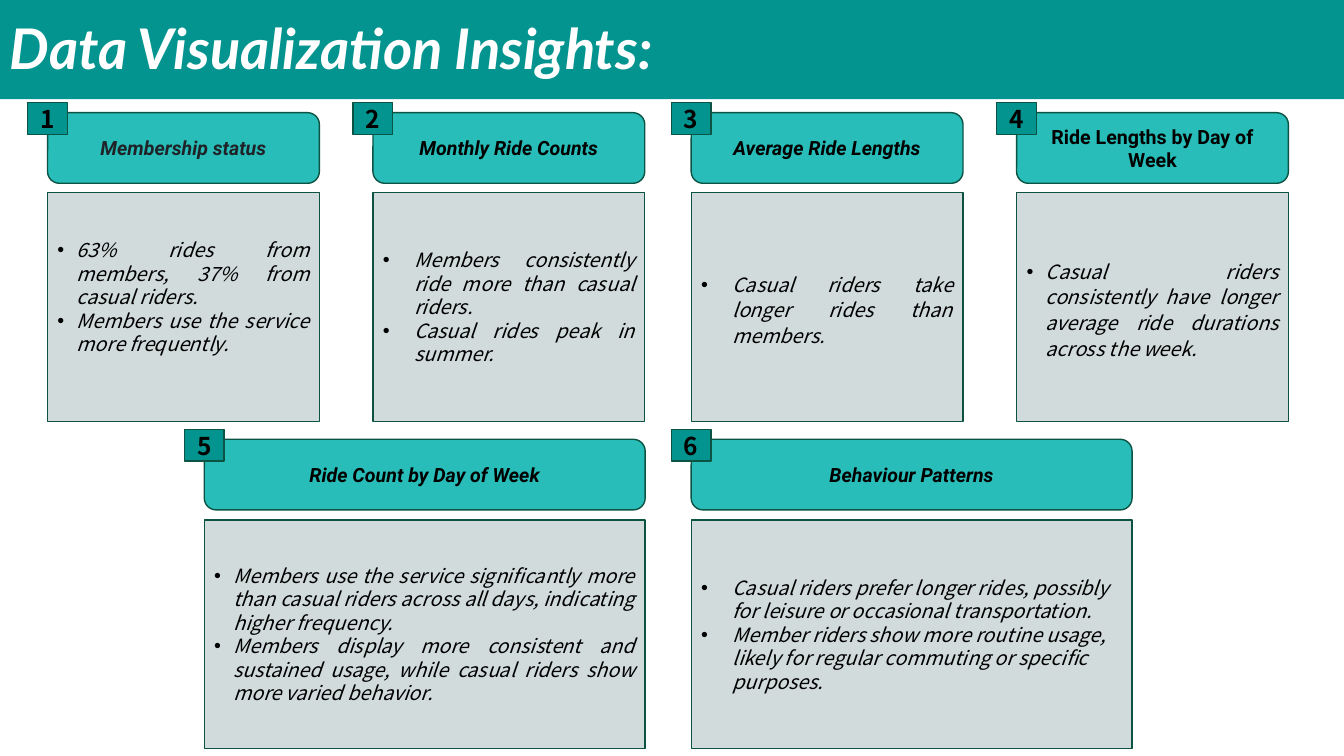
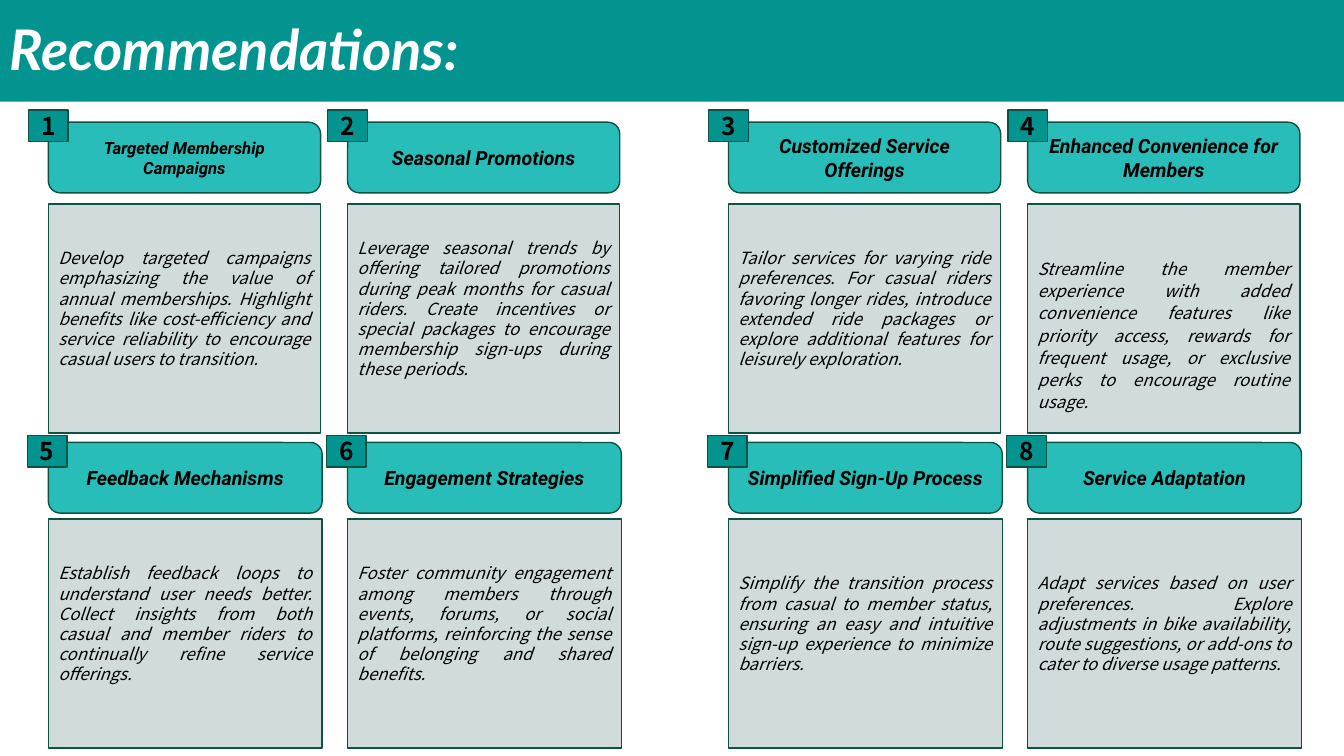
import pptx
import pptx.dml.color
import pptx.enum.shapes
import pptx.enum.text
import pptx.oxml
import pptx.oxml.ns
import pptx.util
from pptx.util import Cm

COLORS = {
    "band": "03948F", "header": "28BDB8", "body": "D1DBDB",
    "outline": "0D5344", "text": "000000", "soft": "1F2328", "white": "FFFFFF",
}
HEADING_FONT, BODY_FONT, TITLE_FONT = "Roboto", "Noto Sans CJK KR", "Lato"
ALIGN = pptx.enum.text.PP_ALIGN
SHAPES = pptx.enum.shapes.MSO_SHAPE

# Card measures in centimetres
HEADER_HEIGHT, BODY_HEIGHT = 1.78, 5.77
BADGE_WIDTH, BADGE_HEIGHT = 1.0, 0.8
INSET_Y = 0.13


def color(name):
    return pptx.dml.color.RGBColor.from_string(COLORS[name])


def write(frame, lines, font=BODY_FONT, size=14, ink="text", bold=False, italic=True,
          align=ALIGN.CENTER, spacing=None, indent=0, after=0, drop=0, lift=0):
    """Fill a text frame; drop and lift push the centred text down or up."""
    frame.word_wrap = True
    frame.auto_size = pptx.enum.text.MSO_AUTO_SIZE.NONE
    frame.vertical_anchor = pptx.enum.text.MSO_ANCHOR.MIDDLE
    frame.margin_left = frame.margin_right = Cm(0.25)
    frame.margin_top, frame.margin_bottom = Cm(INSET_Y + drop), Cm(INSET_Y + lift)
    for number, line in enumerate(lines):
        para = frame.add_paragraph() if number else frame.paragraphs[0]
        para.alignment = align
        para.space_before, para.space_after = pptx.util.Pt(0), pptx.util.Pt(after)
        if spacing:
            para.line_spacing = spacing
        if indent:
            add_bullet(para, indent)
        span = para.add_run()
        span.text = line
        span.font.name, span.font.size = font, pptx.util.Pt(size)
        span.font.bold, span.font.italic = bold, italic
        span.font.color.rgb = color(ink)


def add_bullet(para, indent):
    settings = para._p.get_or_add_pPr()
    settings.set("marL", str(Cm(indent)))
    settings.set("indent", str(-Cm(indent)))
    for tag, key, value in (("a:buFont", "typeface", "Arial"), ("a:buChar", "char", "•")):
        bullet = pptx.oxml.ns.qn(tag)
        settings.append(settings.makeelement(bullet, {key: value}))


def add_box(page, preset, left, top, width, height, fill):
    box = page.shapes.add_shape(preset, Cm(left), Cm(top), Cm(width), Cm(height))
    box.shadow.inherit = False
    box.fill.solid()
    box.fill.fore_color.rgb = color(fill)
    box.line.color.rgb = color("outline")
    box.line.width = pptx.util.Pt(1)
    return box


def add_page(deck, title, band_height):
    """Title-only page with the full-width title band."""
    page = deck.slides.add_slide(deck.slide_layouts[5])
    band = page.shapes.title
    band.left, band.top = Cm(0), Cm(0)
    band.width, band.height = deck.slide_width, Cm(band_height)
    band.fill.solid()
    band.fill.fore_color.rgb = color("band")
    write(band.text_frame, [title], font=TITLE_FONT, size=40, ink="white", bold=True,
          align=ALIGN.LEFT, lift=0.12)
    return page


def add_card(page, number, left, top, width, heading, lines, row, heading_format, body_format):
    """Heading, body and number badge, placed from the card's top left corner."""
    header = add_box(page, SHAPES.ROUNDED_RECTANGLE, left, top, width, HEADER_HEIGHT, "header")
    write(header.text_frame, [heading],
          **{"font": HEADING_FONT, "bold": True, "after": 6, **heading_format})

    body = add_box(page, SHAPES.RECTANGLE, left, top + row["body_drop"], width, BODY_HEIGHT, "body")
    write(body.text_frame, lines, **{"align": ALIGN.JUSTIFY, **body_format})

    badge = add_box(page, SHAPES.RECTANGLE, left - row["badge_left"], top - row["badge_rise"],
                    BADGE_WIDTH, BADGE_HEIGHT, "band")
    write(badge.text_frame, [str(number)], size=17.5, bold=True, italic=False, after=6)


def add_rows(page, rows):
    """Lay out rows of cards, numbered in reading order."""
    number = 0
    for row in rows:
        for left, (heading, lines, heading_format, body_format) in zip(row["lefts"], row["cards"]):
            number += 1
            add_card(page, number, left, row["top"], row["width"], heading, lines, row,
                     heading_format, {**row["body_format"], **body_format})


# Cards: heading, body lines, heading format, body format
INSIGHT_ROWS = [
    {"top": 2.84, "width": 6.85, "lefts": [1.2, 9.4, 17.42, 25.62],
     "body_drop": 2.01, "badge_left": 0.5, "badge_rise": 0.25, "body_format": {},
     "cards": [
         ("Membership status",
          ["63% rides from members, 37% from casual riders.",
           "Members use the service more frequently."],
          {"ink": "soft"}, {"indent": 0.48, "lift": 0.5}),
         ("Monthly Ride Counts",
          ["Members consistently ride more than casual riders.",
           "Casual rides peak in summer."],
          {}, {"indent": 0.79}),
         ("Average Ride Lengths",
          ["Casual riders take longer rides than members."],
          {}, {"indent": 0.79, "spacing": 1.1, "drop": 0.1}),
         ("Ride Lengths by Day of Week",
          ["Casual riders consistently have longer average ride durations across the week."],
          {"italic": False}, {"indent": 0.48, "spacing": 1.1, "drop": 0.1}),
     ]},
    {"top": 11.07, "width": 11.11, "lefts": [5.15, 17.42],
     "body_drop": 2.03, "badge_left": 0.5, "badge_rise": 0.25, "body_format": {},
     "cards": [
         ("Ride Count by Day of Week",
          ["Members use the service significantly more than casual riders across all days, "
           "indicating higher frequency.",
           "Members display more consistent and sustained usage, while casual riders show "
           "more varied behavior."],
          {}, {"indent": 0.48}),
         ("Behaviour Patterns",
          ["Casual riders prefer longer rides, possibly for leisure or occasional "
           "transportation.",
           "Member riders show more routine usage, likely for regular commuting or specific "
           "purposes."],
          {}, {"indent": 0.79, "align": ALIGN.LEFT}),
     ]},
]

ADVICE_LEFTS = [1.22, 8.76, 18.36, 25.9]
ADVICE_FORMAT = {"size": 12, "lift": 0.5}
ADVICE_ROWS = [
    {"top": 3.08, "width": 6.86, "lefts": ADVICE_LEFTS,
     "body_drop": 2.06, "badge_left": 0.5, "badge_rise": 0.31, "body_format": ADVICE_FORMAT,
     "cards": [
         ("Targeted Membership Campaigns",
          ["Develop targeted campaigns emphasizing the value of annual memberships. Highlight "
           "benefits like cost-efficiency and service reliability to encourage casual users "
           "to transition."],
          {"size": 12}, {}),
         ("Seasonal Promotions",
          ["Leverage seasonal trends by offering tailored promotions during peak months for "
           "casual riders. Create incentives or special packages to encourage membership "
           "sign-ups during these periods."],
          {}, {}),
         ("Customized Service Offerings",
          ["Tailor services for varying ride preferences. For casual riders favoring longer "
           "rides, introduce extended ride packages or explore additional features for "
           "leisurely exploration."],
          {}, {}),
         ("Enhanced Convenience for Members",
          ["Streamline the member experience with added convenience features like priority "
           "access, rewards for frequent usage, or exclusive perks to encourage routine "
           "usage."],
          {}, {"spacing": 1.1, "drop": 0.8, "lift": 0}),
     ]},
    {"top": 11.15, "width": 6.9, "lefts": ADVICE_LEFTS,
     "body_drop": 1.93, "badge_left": 0.53, "badge_rise": 0.18, "body_format": ADVICE_FORMAT,
     "cards": [
         ("Feedback Mechanisms",
          ["Establish feedback loops to understand user needs better. Collect insights from "
           "both casual and member riders to continually refine service offerings."],
          {}, {}),
         ("Engagement Strategies",
          ["Foster community engagement among members through events, forums, or social "
           "platforms, reinforcing the sense of belonging and shared benefits."],
          {}, {}),
         ("Simplified Sign-Up Process",
          ["Simplify the transition process from casual to member status, ensuring an easy "
           "and intuitive sign-up experience to minimize barriers."],
          {}, {}),
         ("Service Adaptation",
          ["Adapt services based on user preferences. Explore adjustments in bike "
           "availability, route suggestions, or add-ons to cater to diverse usage patterns."],
          {}, {}),
     ]},
]


def main():
    deck = pptx.Presentation()
    deck.slide_width, deck.slide_height = Cm(33.87), Cm(19.05)
    add_rows(add_page(deck, "Data Visualization Insights:", 2.5), INSIGHT_ROWS)
    add_rows(add_page(deck, "Recommendations:", 2.56), ADVICE_ROWS)
    deck.save("out.pptx")


if __name__ == "__main__":
    main()
